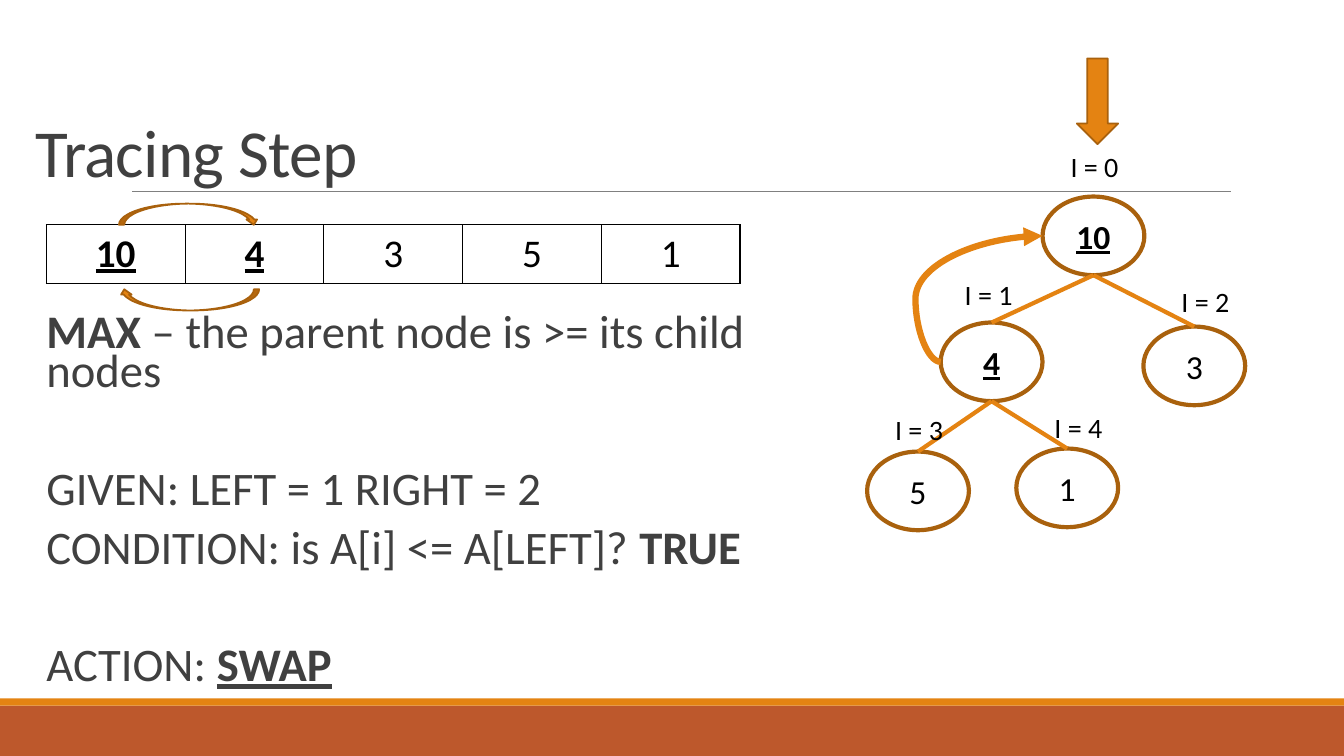
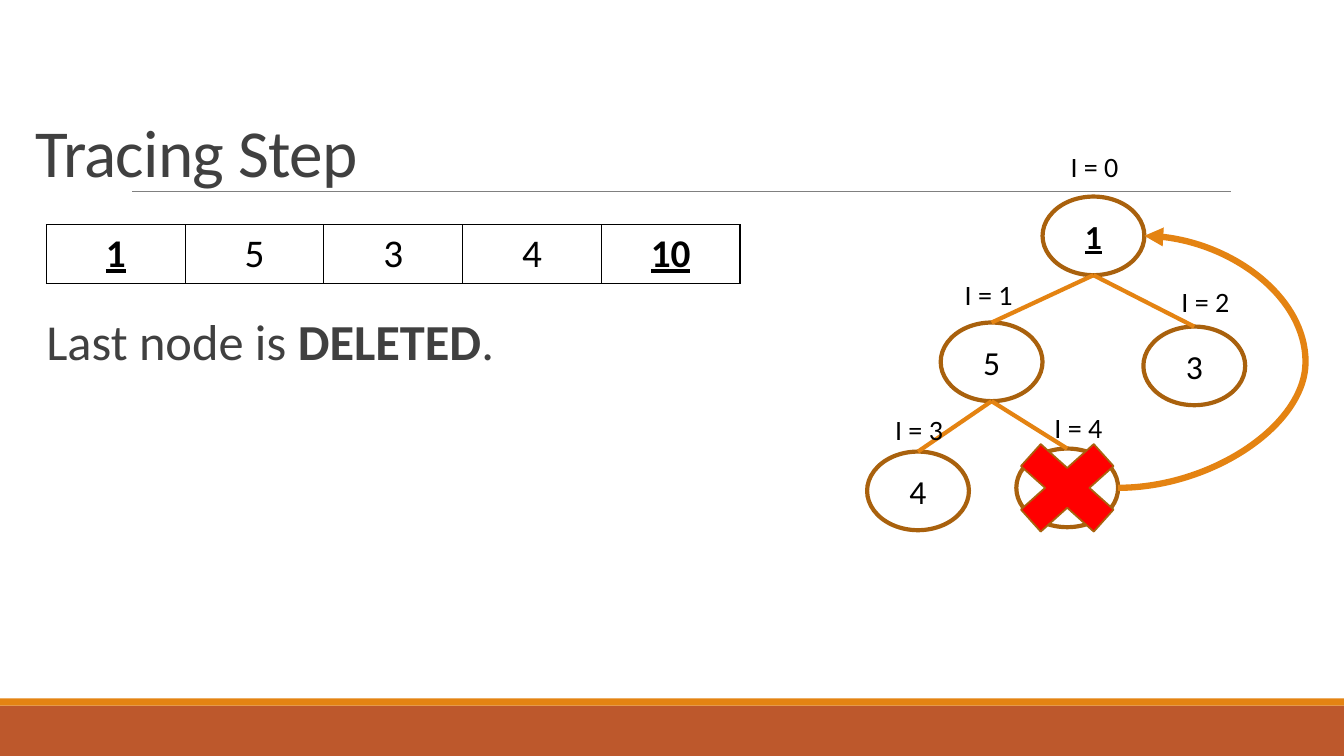
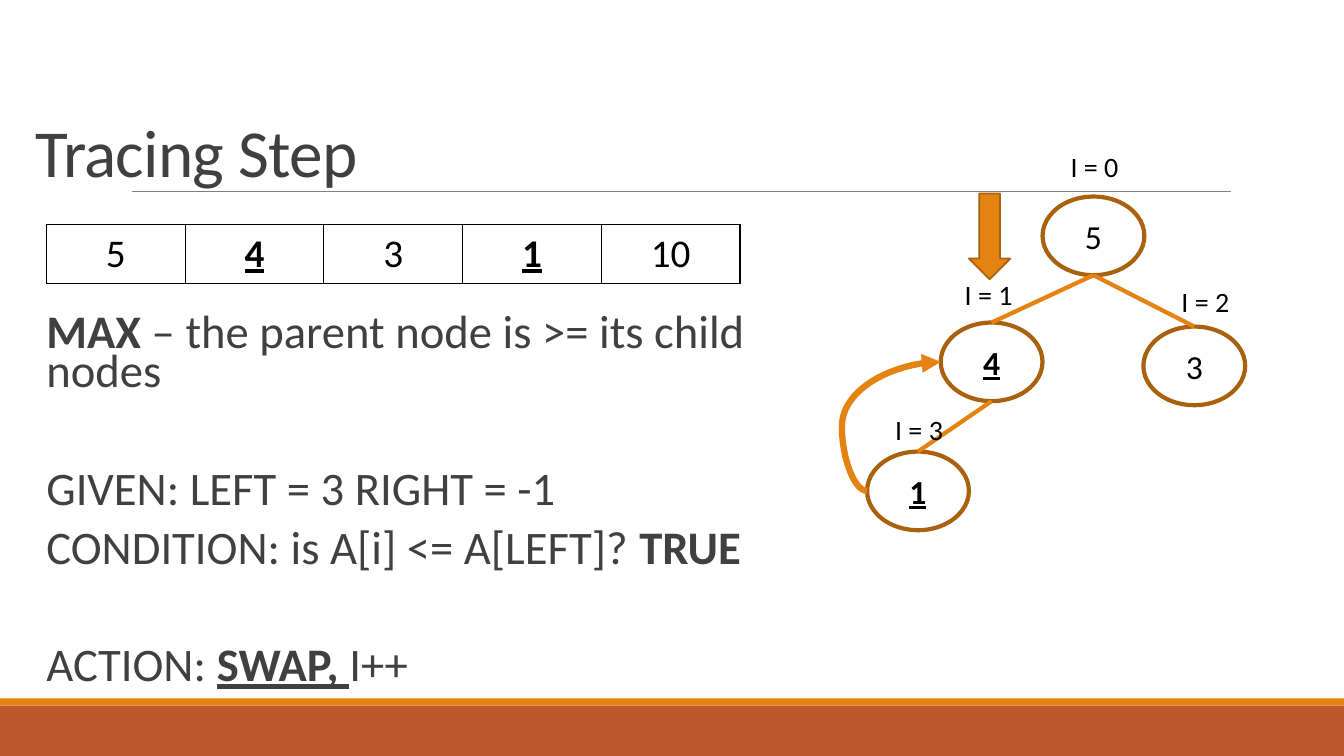
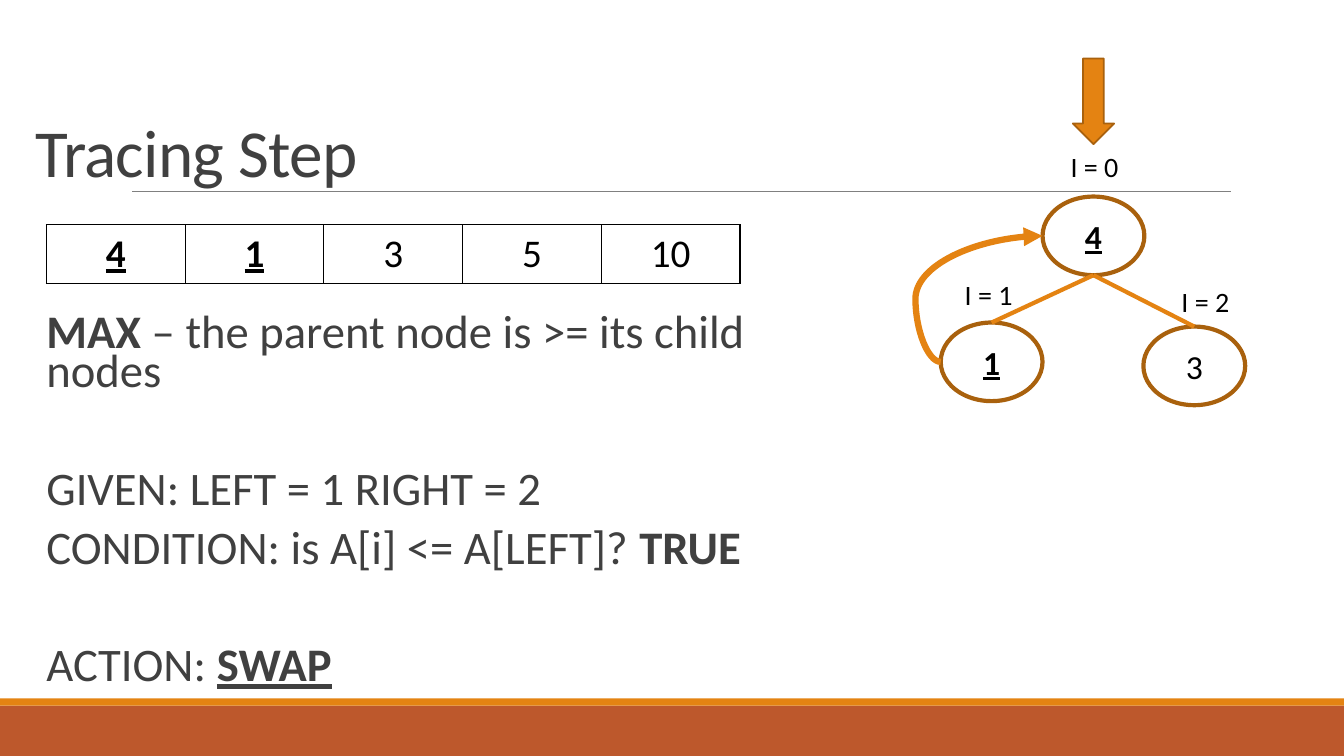
from pptx import Presentation
from pptx.dml.color import RGBColor
from pptx.enum.shapes import MSO_CONNECTOR, MSO_SHAPE
from pptx.enum.text import MSO_ANCHOR, MSO_AUTO_SIZE, PP_ALIGN
from pptx.oxml import parse_xml
from pptx.oxml.ns import nsdecls, qn
from pptx.util import Inches, Pt

# Content: a run is (text, style), where b is bold and u is underlined
TITLE = "Tracing Step"


def swap_check(left, right, *action):
    """Lines of the comparison text: (runs, starts a new group)."""
    return [
        ([("MAX", "b"), (" – the parent node is >= its child nodes", "")], False),
        ([(f"GIVEN: LEFT = {left} RIGHT = {right}", "")], True),
        ([("CONDITION: is A[i] <= A[LEFT]? ", ""), ("TRUE", "b")], False),
        ([("ACTION: ", ""), *action], True),
    ]


# move: from node, to node, x of the bend; pointer: left, top
STEPS = [
    dict(array=[10, 4, 3, 5, 1], marked={0, 1}, heap=5, move=(1, 0, 9.08),
         pointer=(10.68, 0.58), swap_arrows=True,
         lines=swap_check(1, 2, ("SWAP", "bu"))),
    dict(array=[1, 5, 3, 4, 10], marked={0, 4}, heap=5, move=(4, 0, 12.95),
         deleted=4, size=36, spacing=0.9,
         lines=[([("Last node is ", ""), ("DELETED", "b"), (".", "")], False)]),
    dict(array=[5, 4, 3, 1, 10], marked={1, 3}, heap=4, move=(3, 1, 8.35),
         pointer=(9.61, 1.92),
         lines=swap_check(3, -1, ("SWAP, ", "bu"), ("I++", ""))),
    dict(array=[4, 1, 3, 5, 10], marked={0, 1}, heap=3, move=(1, 0, 9.08),
         pointer=(10.64, 0.58),
         lines=swap_check(1, 2, ("SWAP", "bu"))),
]

# Shared look
W, H = 13.33, 7.5
FONT = "Calibri"
BLACK, GREY, RULE = "000000", "404040", "808080"
ORANGE, BROWN, RUST, RED = "E48312", "A9610D", "BD582C", "FF0000"
NODE_W, NODE_H = 1.01, 0.78
NODES = [(10.34, 1.95), (9.33, 3.2), (11.34, 3.24), (8.6, 4.48), (10.08, 4.45)]
LABELS = [(10.52, 1.43), (9.47, 2.7), (11.62, 2.77), (8.78, 4.04), (10.36, 4.02)]
LEFT, ARRAY_TOP, ARRAY_H, COL = 0.46, 2.23, 0.58, 1.376


def rgb(color):
    return RGBColor.from_string(color)


def box(x, y, w, h):
    return Inches(x), Inches(y), Inches(w), Inches(h)


def write(p, text, size, color=BLACK, style="", align=None):
    if align is not None:
        p.alignment = align
    r = p.add_run()
    r.text = str(text)
    f = r.font
    f.name, f.size, f.color.rgb = FONT, Pt(size), rgb(color)
    f.bold, f.underline = "b" in style, "u" in style


def add_shape(s, kind, at, fill=None, line=None, width=1.25):
    sp = s.shapes.add_shape(kind, *box(*at))
    sp.shadow.inherit = False
    if fill:
        sp.fill.solid()
        sp.fill.fore_color.rgb = rgb(fill)
    else:
        sp.fill.background()
    if line:
        sp.line.color.rgb, sp.line.width = rgb(line), Pt(width)
    else:
        sp.line.fill.background()
    return sp


def add_line(s, start, end, color, width, kind=MSO_CONNECTOR.STRAIGHT):
    c = s.shapes.add_connector(kind, *(Inches(v) for v in (*start, *end)))
    c.line.color.rgb, c.line.width = rgb(color), Pt(width)
    c.element.spPr.append(parse_xml(f"<a:effectLst {nsdecls('a')}/>"))
    return c


def add_frame(layout, s):
    """Draw the bands and title rule, then keep them in the layout."""
    for ph in list(layout.placeholders)[1:]:
        ph.element.getparent().remove(ph.element)
    parts = [
        add_shape(s, MSO_SHAPE.RECTANGLE, (0, 7, W, 0.5), RUST),
        add_shape(s, MSO_SHAPE.RECTANGLE, (0, 6.93, W, 0.07), ORANGE),
        add_line(s, (1.31, 1.9), (12.21, 1.9), RULE, 0.5),
    ]
    for part in parts:
        layout.element.cSld.spTree.append(part.element)


def add_title(s):
    sp = s.shapes.title
    sp.left, sp.top, sp.width, sp.height = box(0.25, 0.36, 11, 1.59)
    tf = sp.text_frame
    tf.auto_size, tf.vertical_anchor = MSO_AUTO_SIZE.NONE, MSO_ANCHOR.BOTTOM
    p = tf.paragraphs[0]
    p.line_spacing = 0.85
    write(p, TITLE, 48, GREY, align=PP_ALIGN.LEFT)
    for rpr in sp.element.iter(qn("a:rPr")):
        rpr.set("spc", "-50")


def add_array(s, values, marked):
    table = s.shapes.add_table(
        1, len(values), *box(LEFT, ARRAY_TOP, COL * len(values), ARRAY_H)).table
    table.first_row = table.horz_banding = False
    for i, value in enumerate(values):
        cell = table.cell(0, i)
        write(cell.text_frame.paragraphs[0], value, 28,
              style="bu" if i in marked else "", align=PP_ALIGN.CENTER)
        cell.fill.background()
        tcpr = cell.fill._xPr
        for k, side in enumerate("LRTB"):
            tcpr.insert(k, parse_xml(
                f'<a:ln{side} {nsdecls("a")} w="12700"><a:solidFill>'
                f'<a:srgbClr val="{BLACK}"/></a:solidFill></a:ln{side}>'))


def add_lines(s, lines, size=33.3, spacing=0.7):
    tf = s.shapes.add_textbox(*box(LEFT, 3.1, 7.56, 3.83)).text_frame
    tf.word_wrap = True
    tf.margin_left = tf.margin_right = 0
    for i, (runs, new_group) in enumerate(lines):
        p = tf.add_paragraph() if i else tf.paragraphs[0]
        p.line_spacing, p.space_after = spacing, Pt(2)
        p.space_before = Pt(54 if new_group else 12)
        for text, style in runs:
            write(p, text, size, GREY, style)


def add_tree(s, values, marked):
    for i, value in enumerate(values):
        node = add_shape(s, MSO_SHAPE.OVAL, (*NODES[i], NODE_W, NODE_H), None, BROWN, 3)
        tf = node.text_frame
        tf.vertical_anchor = MSO_ANCHOR.MIDDLE
        write(tf.paragraphs[0], value, 24,
              style="bu" if i in marked else "", align=PP_ALIGN.CENTER)
    for i in range(1, len(values)):
        (px, py), (x, y) = NODES[(i - 1) // 2], NODES[i]
        add_line(s, (px + NODE_W / 2, py + NODE_H), (x + NODE_W / 2, y), ORANGE, 3)
    for i in range(len(values)):
        tf = s.shapes.add_textbox(*box(*LABELS[i], 0.73, 0.44)).text_frame
        tf.word_wrap = False
        write(tf.paragraphs[0], f"I = {i}", 20)


def add_move(s, source, target, bend):
    """Curved arrow between two nodes, leaving on the side of the bend."""
    side = NODE_W if bend > NODES[source][0] else 0
    start, end = ((NODES[i][0] + side, NODES[i][1] + NODE_H / 2)
                  for i in (source, target))
    c = add_line(s, start, end, ORANGE, 4.5, MSO_CONNECTOR.CURVE)
    share = round((bend - start[0]) / (end[0] - start[0]) * 100000)
    c.element.spPr.find(qn("a:prstGeom")).find(qn("a:avLst")).append(parse_xml(
        f'<a:gd {nsdecls("a")} name="adj1" fmla="val {share}"/>'))
    c.element.spPr.find(qn("a:ln")).append(parse_xml(
        f'<a:tailEnd {nsdecls("a")} type="triangle"/>'))


# Build the slides
prs = Presentation()
prs.slide_width, prs.slide_height = Inches(W), Inches(H)
layout = prs.slide_layouts[5]

for n, step in enumerate(STEPS):
    s = prs.slides.add_slide(layout)
    if n == 0:
        add_frame(layout, s)
    add_title(s)
    add_array(s, step["array"], step["marked"])
    add_lines(s, step["lines"], step.get("size", 33.3), step.get("spacing", 0.7))
    add_tree(s, step["array"][:step["heap"]], step["marked"])
    if "pointer" in step:
        add_shape(s, MSO_SHAPE.DOWN_ARROW, (*step["pointer"], 0.41, 0.85), ORANGE, BROWN)
    add_move(s, *step["move"])
    if step.get("swap_arrows"):
        for top, turn in ((2.02, 0), (2.87, 180)):
            arrow = add_shape(s, MSO_SHAPE.CURVED_DOWN_ARROW, (1.18, top, 1.39, 0.21),
                              ORANGE, BROWN)
            arrow.rotation = turn
    if "deleted" in step:
        x, y = NODES[step["deleted"]]
        w, h = 1.39, 1.25
        add_shape(s, MSO_SHAPE.MATH_MULTIPLY,
                  (x + (NODE_W - w) / 2, y + (NODE_H - h) / 2, w, h), RED, BROWN)

prs.save("out.pptx")
